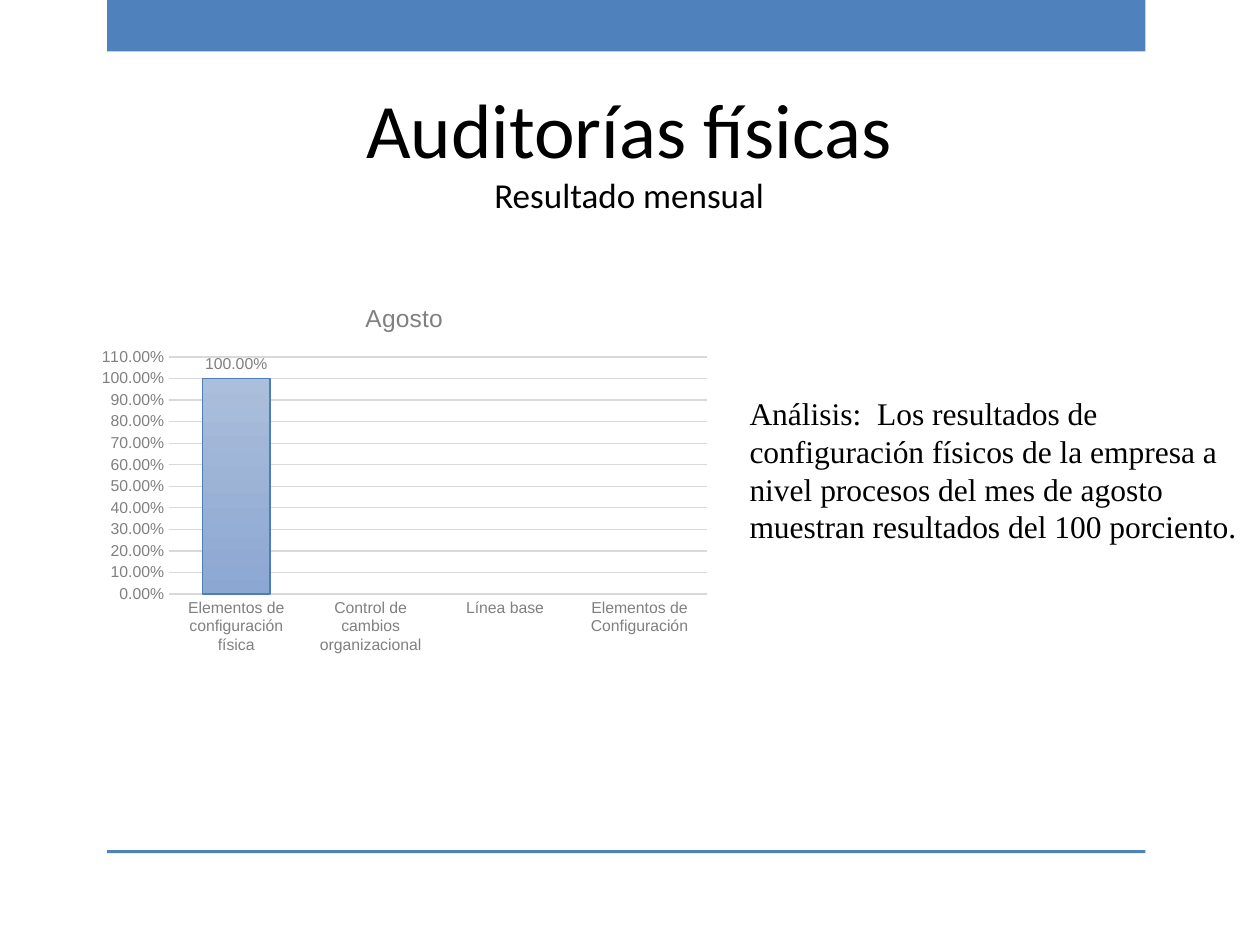
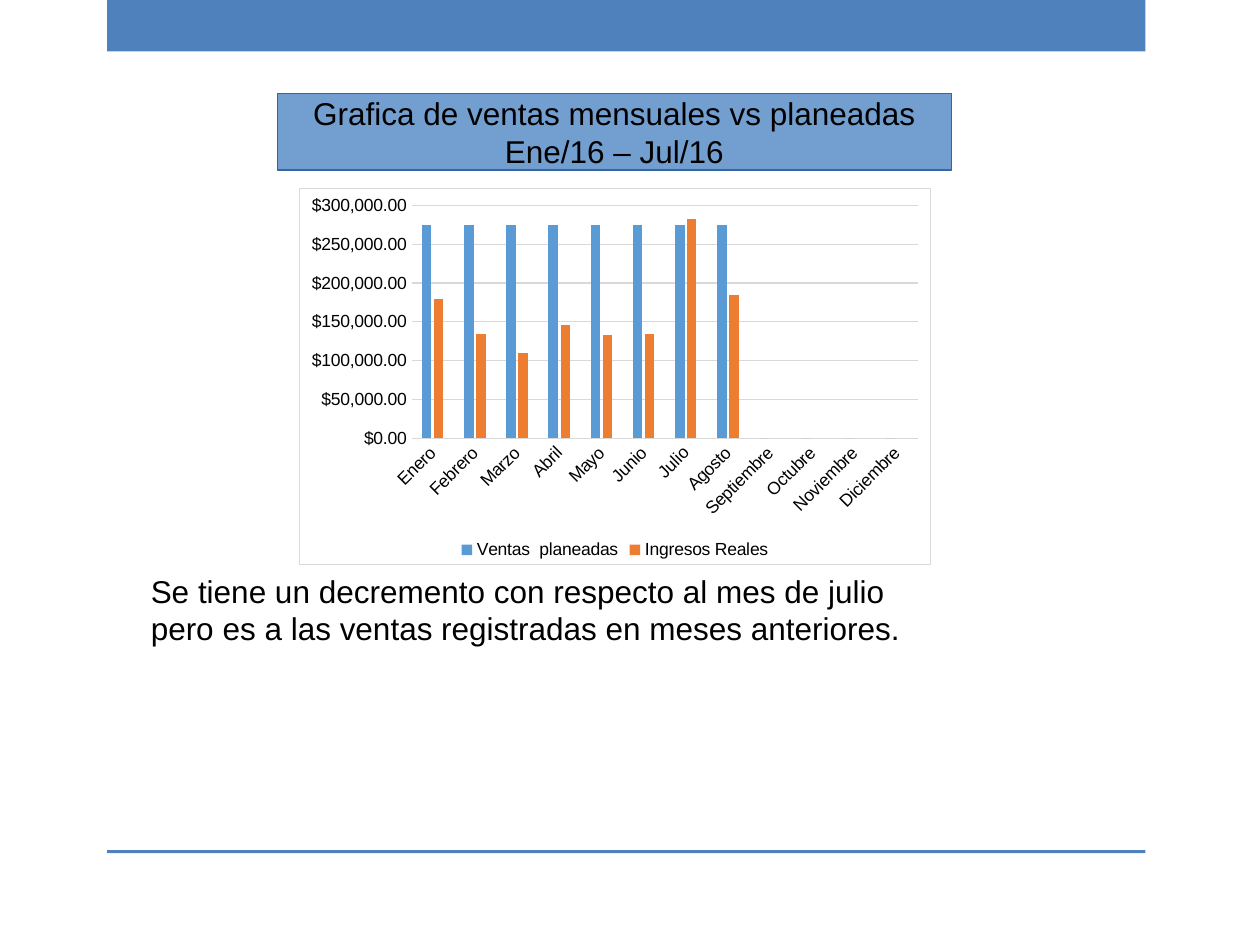
import lxml.etree
import pptx
import pptx.chart.data
import pptx.dml.color
import pptx.enum.chart
import pptx.enum.shapes
import pptx.enum.text
import pptx.oxml
import pptx.oxml.ns
import pptx.util
from pptx.util import Cm, Pt

BAND_BLUE = pptx.dml.color.RGBColor(0x4F, 0x81, 0xBD)
HEADING_BLUE = pptx.dml.color.RGBColor(0x72, 0x9F, 0xCF)
HEADING_EDGE = pptx.dml.color.RGBColor(0x34, 0x65, 0xA4)
GRID_GRAY = pptx.dml.color.RGBColor(0xD9, 0xD9, 0xD9)
LABEL_GRAY = pptx.dml.color.RGBColor(0x80, 0x80, 0x80)
BLACK = pptx.dml.color.RGBColor(0x00, 0x00, 0x00)
BAR_TOP = pptx.dml.color.RGBColor(0xAB, 0xBE, 0xDB)
BAR_BOTTOM = pptx.dml.color.RGBColor(0x8C, 0xA7, 0xD2)
BAR_EDGE = pptx.dml.color.RGBColor(0x4D, 0x7E, 0xB9)
PLANNED_BLUE = pptx.dml.color.RGBColor(0x5B, 0x9B, 0xD5)
ACTUAL_ORANGE = pptx.dml.color.RGBColor(0xED, 0x7D, 0x31)

CENTER = pptx.enum.text.PP_ALIGN.CENTER
LEFT = pptx.enum.text.PP_ALIGN.LEFT
MIDDLE = pptx.enum.text.MSO_ANCHOR.MIDDLE
RECTANGLE = pptx.enum.shapes.MSO_SHAPE.RECTANGLE


def write_lines(box, lines, font_name, alignment=LEFT):
    frame = box.text_frame
    frame.word_wrap = True
    frame.text = "\n".join(text for text, size in lines)
    for para, (text, size) in zip(frame.paragraphs, lines):
        para.alignment = alignment
        for span in para.runs:
            span.font.name = font_name
            span.font.size = Pt(size)
            span.font.color.rgb = BLACK


def add_column_chart(slide, place, categories, columns, number_format, gap, overlap, label_size, label_color, border):
    data = pptx.chart.data.CategoryChartData()
    data.categories = categories
    for name, values in columns:
        data.add_series(name, values)
    kind = pptx.enum.chart.XL_CHART_TYPE.COLUMN_CLUSTERED
    chart = slide.shapes.add_chart(kind, *place, data).chart
    chart.has_title = False
    chart.has_legend = False
    chart.font.name = "Arial"
    chart.font.size = Pt(10)
    chart.font.color.rgb = BLACK
    plot = chart.plots[0]
    plot.vary_by_categories = False
    plot.gap_width = gap
    plot.overlap = overlap
    for axis in (chart.category_axis, chart.value_axis):
        axis.major_tick_mark = pptx.enum.chart.XL_TICK_MARK.NONE
        axis.minor_tick_mark = pptx.enum.chart.XL_TICK_MARK.NONE
        axis.tick_labels.font.name = "Arial"
        axis.tick_labels.font.size = Pt(label_size)
        axis.tick_labels.font.color.rgb = label_color
    chart.value_axis.format.line.fill.background()
    chart.value_axis.tick_labels.number_format = number_format
    chart.value_axis.tick_labels.number_format_is_linked = False
    chart.value_axis.has_major_gridlines = True
    for line in (chart.category_axis.format.line, chart.value_axis.major_gridlines.format.line):
        line.color.rgb = GRID_GRAY
        line.width = Pt(0.75)
    edge = f'<a:solidFill><a:srgbClr val="{GRID_GRAY}"/></a:solidFill>' if border else "<a:noFill/>"
    area = pptx.oxml.parse_xml(
        f'<c:spPr {pptx.oxml.ns.nsdecls("c", "a")}>'
        '<a:solidFill><a:srgbClr val="FFFFFF"/></a:solidFill>'
        f'<a:ln w="{Pt(0.75)}">{edge}</a:ln></c:spPr>'
    )
    chart._chartSpace.find(pptx.oxml.ns.qn("c:txPr")).addprevious(area)
    return chart


deck = pptx.Presentation()
deck.slide_width = Cm(25.4)
deck.slide_height = Cm(19.05)
blank = deck.slide_layouts[6]
audit_slide = deck.slides.add_slide(blank)
sales_slide = deck.slides.add_slide(blank)

for slide in (audit_slide, sales_slide):
    for top, height in ((0, 1.04), (17.14, 0.06)):
        band = slide.shapes.add_shape(RECTANGLE, Cm(2.16), Cm(top), Cm(20.93), Cm(height))
        band.shadow.inherit = False
        band.fill.solid()
        band.fill.fore_color.rgb = BAND_BLUE
        band.line.fill.background()

title = audit_slide.shapes.add_textbox(Cm(1.27), Cm(1.42), Cm(22.83), Cm(3.15))
title.text_frame.vertical_anchor = MIDDLE
write_lines(title, [("Auditorías físicas", 44), ("Resultado mensual", 20)], "Calibri", CENTER)

analysis = audit_slide.shapes.add_textbox(Cm(14.86), Cm(7.82), Cm(10.92), Cm(4.88))
analysis_text = (
    "Análisis:  Los resultados de configuración físicos de la empresa a nivel procesos "
    "del mes de agosto muestran resultados del 100 porciento."
)
write_lines(analysis, [(analysis_text, 18)], "Times New Roman")

audit_chart = add_column_chart(
    audit_slide,
    (Cm(1.8), Cm(5.72), Cm(12.7), Cm(7.62)),
    [
        "Elementos de configuración física",
        "Control de cambios organizacional",
        "Línea base",
        "Elementos de Configuración",
    ],
    [("Agosto", (1, None, None, None))],
    "0.00%", 100, -24, 9, LABEL_GRAY, False,
)
audit_chart.value_axis.minimum_scale = 0
audit_chart.value_axis.maximum_scale = 1.1
audit_chart.value_axis.major_unit = 0.1
audit_chart.has_title = True
audit_chart.chart_title.include_in_layout = False
chart_heading = audit_chart.chart_title.text_frame
chart_heading.text = "Agosto"
heading_font = chart_heading.paragraphs[0].runs[0].font
heading_font.name = "Arial"
heading_font.size = Pt(14)
heading_font.bold = False
heading_font.color.rgb = LABEL_GRAY

august = audit_chart.plots[0].series[0]
august.format.fill.gradient()
august.format.fill.gradient_angle = 270
for stop, color in zip(august.format.fill.gradient_stops, (BAR_TOP, BAR_BOTTOM)):
    stop.color.rgb = color
august.format.line.color.rgb = BAR_EDGE
august.format.line.width = Pt(0.75)
labels = august.data_labels
labels.show_value = True
labels.position = pptx.enum.chart.XL_LABEL_POSITION.OUTSIDE_END
labels.number_format = "0.00%"
labels.number_format_is_linked = False
labels.font.name = "Arial"
labels.font.size = Pt(9)
labels.font.color.rgb = LABEL_GRAY

heading = sales_slide.shapes.add_shape(RECTANGLE, Cm(5.59), Cm(1.88), Cm(13.59), Cm(1.55))
heading.shadow.inherit = False
heading.fill.solid()
heading.fill.fore_color.rgb = HEADING_BLUE
heading.line.color.rgb = HEADING_EDGE
heading.line.width = Pt(0.75)
heading.text_frame.vertical_anchor = MIDDLE
heading_lines = [("Grafica de ventas mensuales vs planeadas", 18), ("Ene/16 – Jul/16", 18)]
write_lines(heading, heading_lines, "Arial", CENTER)
heading.text_frame.word_wrap = False

comment = sales_slide.shapes.add_textbox(Cm(2.79), Cm(11.4), Cm(16.41), Cm(4.52))
comment_text = (
    "Se tiene un decremento con respecto al mes de julio "
    "pero es a las ventas registradas en meses anteriores."
)
write_lines(comment, [(comment_text, 18)], "Arial")

months = [
    "Enero", "Febrero", "Marzo", "Abril", "Mayo", "Junio",
    "Julio", "Agosto", "Septiembre", "Octubre", "Noviembre", "Diciembre",
]
planned = [275000] * 8 + [0] * 4
actual = [180000, 134000, 110000, 146000, 133000, 135000, 283000, 185000] + [None] * 4
sales_chart = add_column_chart(
    sales_slide,
    (Cm(6.02), Cm(3.78), Cm(12.75), Cm(7.62)),
    months,
    [("Ventas  planeadas", planned), ("Ingresos Reales", actual)],
    r"[$$-80A]#,##0.00;[Red]\-[$$-80A]#,##0.00", 219, -27, 10, BLACK, True,
)
sales_chart.has_legend = True
sales_chart.legend.position = pptx.enum.chart.XL_LEGEND_POSITION.BOTTOM
sales_chart.legend.include_in_layout = False
month_labels = sales_chart.category_axis._element.find(pptx.oxml.ns.qn("c:txPr"))
month_labels.find(pptx.oxml.ns.qn("a:bodyPr")).set("rot", "-2700000")
for series, color in zip(sales_chart.plots[0].series, (PLANNED_BLUE, ACTUAL_ORANGE)):
    series.format.fill.solid()
    series.format.fill.fore_color.rgb = color

deck.save("out.pptx")
